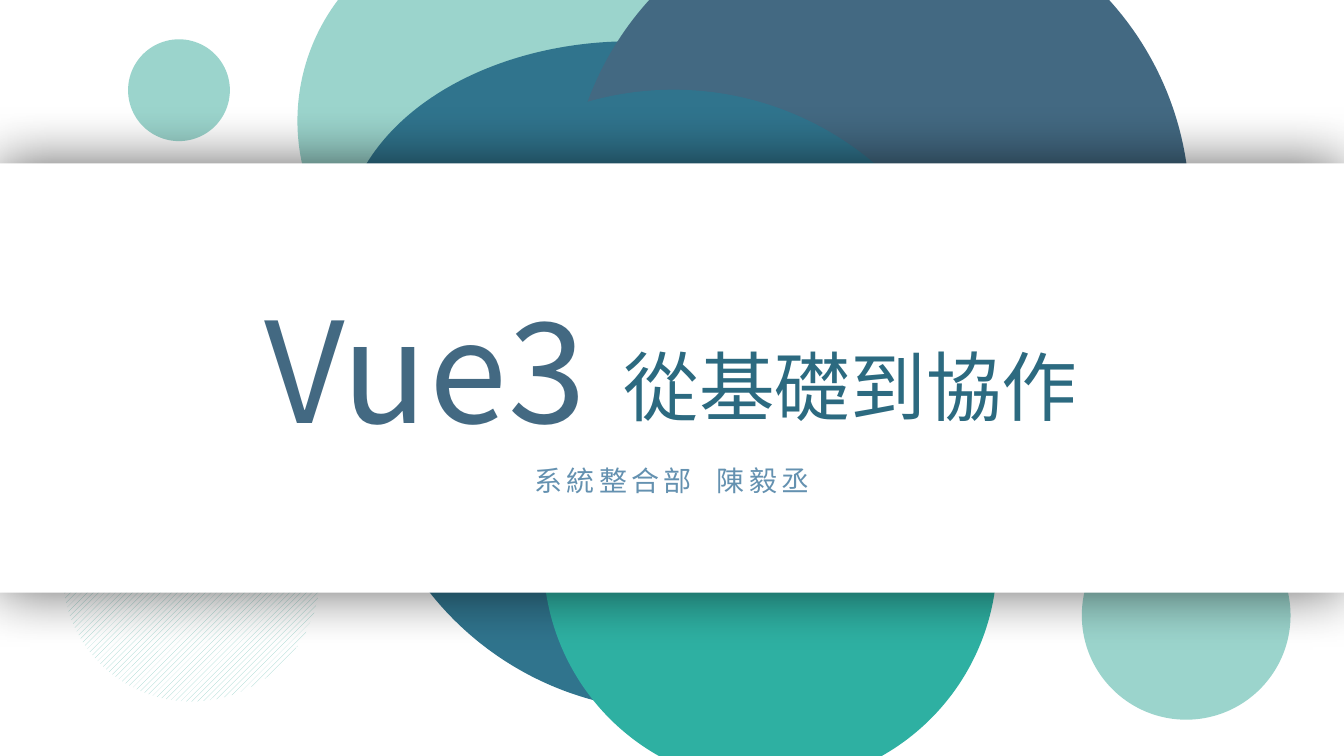
from pptx import Presentation
from pptx.dml.color import RGBColor
from pptx.enum.dml import MSO_PATTERN
from pptx.enum.shapes import MSO_SHAPE
from pptx.enum.text import MSO_ANCHOR, MSO_AUTO_SIZE, PP_ALIGN
from pptx.oxml import parse_xml
from pptx.oxml.ns import nsdecls, qn
from pptx.util import Inches, Pt

FONT = "Noto Sans CJK SC"
WHITE, MINT, TEAL, SLATE = "FFFFFF", "9BD4CC", "30748D", "436982"
DISCS = [
    (10.73, 5.07, 2.07, 2.07, MINT),
    (2.95, -0.79, 3.98, 3.98, MINT),
    (3.41, 0.41, 5.7, 3.98, TEAL),
    (5.64, -1.01, 6.16, 6.16, SLATE),
    (3.6, 0.89, 6.16, 6.16, TEAL),
    (5.39, 3.29, 4.5, 4.5, "2EB0A2"),
    (1.27, 0.39, 1.01, 1.01, MINT),
]
HATCH = (0.62, 4.4, 2.56, 2.56)
BAND = (0, 1.62, 13.33, 4.26)
TITLE = ("Vue3", (2.52, 2.76, 3.73, 1.78), 100, SLATE, 1.5, PP_ALIGN.LEFT, True)
TEXTS = [
    ("從基礎到協作", (6.06, 3.32, 4.75, 1.01), 54, "2C6A80", 0, PP_ALIGN.CENTER, False),
    ("系統整合部  陳毅丞", (4.61, 4.55, 4.11, 0.44), 20, "6491B0", 3, PP_ALIGN.CENTER, True),
]


def color(code):
    return RGBColor.from_string(code)


def place(shape, box):
    shape.left, shape.top, shape.width, shape.height = map(Inches, box)


def draw(kind, box, fill):
    shape = slide.shapes.add_shape(kind, *map(Inches, box))
    shape.shadow.inherit = False
    shape.line.fill.background()
    shape.fill.solid()
    shape.fill.fore_color.rgb = color(fill)
    return shape


def write(shape, text, box, size, fill, gap, align, wrap):
    place(shape, box)
    frame = shape.text_frame
    frame.text = text
    frame.word_wrap = wrap
    frame.auto_size = MSO_AUTO_SIZE.NONE
    frame.vertical_anchor = MSO_ANCHOR.TOP
    line = frame.paragraphs[0]
    line.alignment = align
    run = line.runs[0]
    run.font.size = Pt(size)
    run.font.color.rgb = color(fill)
    run.font.name = FONT
    props = run.font._element
    props.append(parse_xml(f'<a:ea {nsdecls("a")} typeface="{FONT}"/>'))
    if gap:
        props.set("spc", str(int(gap * 100)))


deck = Presentation()
deck.slide_width, deck.slide_height = Inches(13.33), Inches(7.5)
slide = deck.slides.add_slide(deck.slide_layouts[5])

for *box, fill in DISCS:
    draw(MSO_SHAPE.OVAL, box, fill)

hatch = draw(MSO_SHAPE.OVAL, HATCH, WHITE)
hatch.fill.patterned()
hatch.fill.pattern = MSO_PATTERN.WIDE_UPWARD_DIAGONAL
hatch.fill.fore_color.rgb = color(MINT)
hatch.fill.back_color.rgb = color(WHITE)

band = draw(MSO_SHAPE.RECTANGLE, BAND, WHITE)
band._element.spPr.find(qn("a:effectLst")).append(parse_xml(
    f'<a:outerShdw {nsdecls("a")} blurRad="{Pt(41)}" dist="0" dir="0" algn="ctr" rotWithShape="0">'
    '<a:srgbClr val="000000"><a:alpha val="60000"/></a:srgbClr></a:outerShdw>'))

title = slide.shapes.title
slide.shapes._spTree.append(title._element)
write(title, *TITLE)
for item in TEXTS:
    write(slide.shapes.add_textbox(0, 0, 0, 0), *item)

deck.save("out.pptx")
